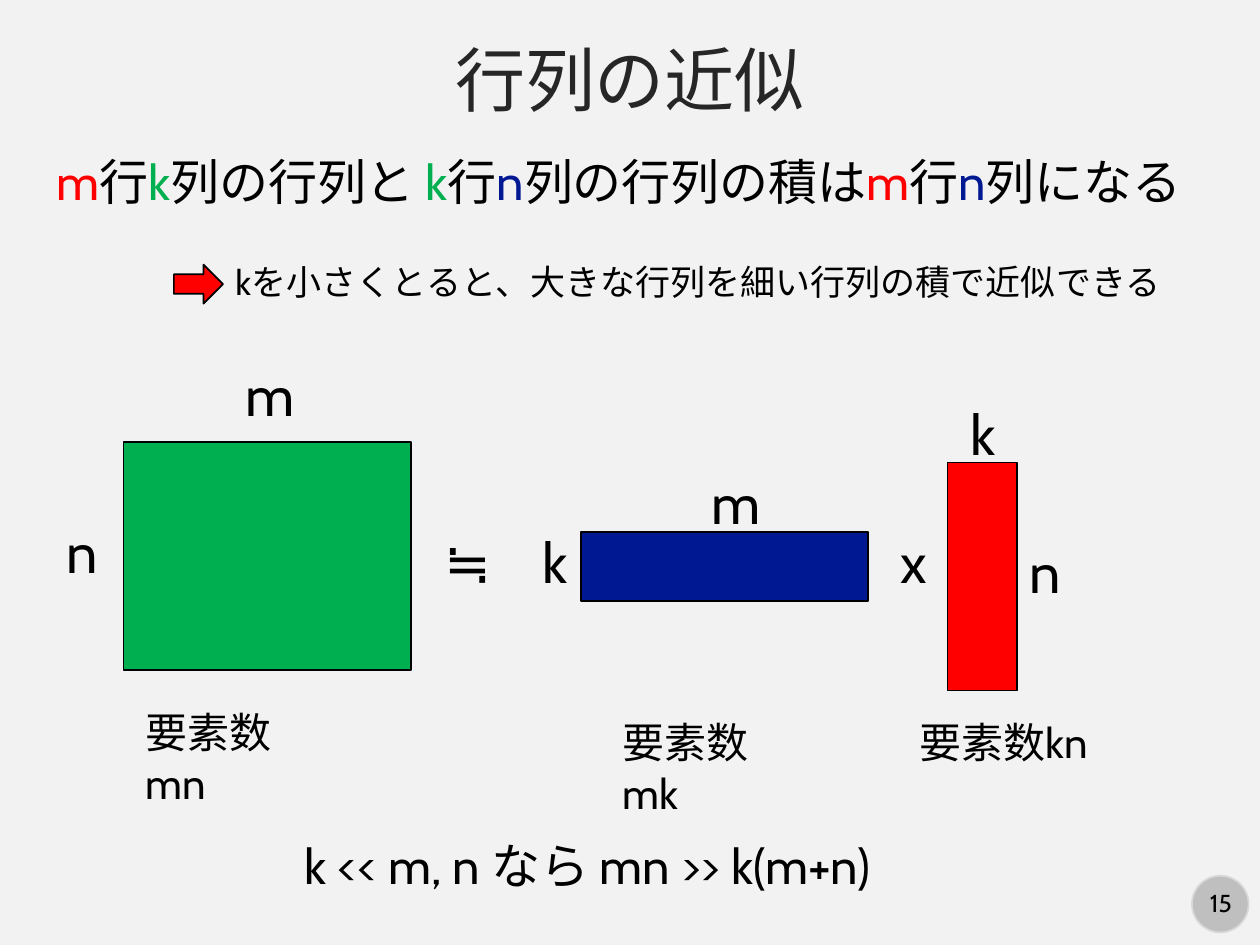
from pptx import Presentation
from pptx.dml.color import RGBColor
from pptx.enum.shapes import MSO_SHAPE
from pptx.enum.text import MSO_ANCHOR, PP_ALIGN
from pptx.util import Inches, Pt

RECTANGLE, OVAL, ARROW = MSO_SHAPE.RECTANGLE, MSO_SHAPE.OVAL, MSO_SHAPE.RIGHT_ARROW
CENTER, LEFT = PP_ALIGN.CENTER, PP_ALIGN.LEFT
TOP, MIDDLE = MSO_ANCHOR.TOP, MSO_ANCHOR.MIDDLE
COLORS = {
    "background": "F2F2F2", "black": "000000", "title": "262626",
    "red": "FF0000", "green": "00B050", "navy": "011893",
    "badge": "BFBFBF", "badge_line": "D9D9D9",
}
CELL = Inches(0.1)


class MatrixSlide:
    """Draws elements on one slide, measured in a grid of 100 columns by 75 rows."""

    font = "Cabin"

    def __init__(self, presentation):
        self.slide = presentation.slides.add_slide(presentation.slide_layouts[6])
        self.paint(self.slide.background.fill, "background")

    def paint(self, fill, color):
        fill.solid()
        fill.fore_color.rgb = RGBColor.from_string(COLORS[color])

    def place(self, box):
        return [round(length * CELL) for length in box]

    def shape(self, kind, box, color, line="black"):
        shape = self.slide.shapes.add_shape(kind, *self.place(box))
        shape.shadow.inherit = False
        self.paint(shape.fill, color)
        self.paint(shape.line.fill, line)
        shape.line.width = Pt(1)

    def text(self, box, runs, size, align=LEFT, anchor=TOP):
        frame = self.slide.shapes.add_textbox(*self.place(box)).text_frame
        for name, value in {"word_wrap": True, "vertical_anchor": anchor}.items():
            setattr(frame, name, value)
        paragraph = frame.paragraphs[0]
        paragraph.alignment = align
        for words, color in runs:
            run = paragraph.add_run()
            run.text = words
            for name, value in {"name": self.font, "size": Pt(size)}.items():
                setattr(run.font, name, value)
            run.font.color.rgb = RGBColor.from_string(COLORS[color])

    def symbol(self, words, left, top, width=4.3):
        self.text((left, top, width, 6.4), [(words, "black")], 32)

    def element_count(self, words, left, top, width):
        self.text((left, top, width, 5), [("要素数" + words, "black")], 24)


def main():
    presentation = Presentation()
    presentation.slide_width, presentation.slide_height = 100 * CELL, 75 * CELL
    page = MatrixSlide(presentation)

    page.shape(OVAL, (94.6, 69.5, 4.5, 4.5), "badge", "badge_line")
    page.text((94.7, 70, 4.4, 3.4), [("15", "black")], 14, CENTER)
    page.text((0, 2.1, 100, 8.2), [("行列の近似", "title")], 40, CENTER, MIDDLE)

    long_side, short_side, height = 22.8, 5.5, 18.1
    page.shape(RECTANGLE, (9.8, 35.1, long_side, height), "green")
    page.shape(RECTANGLE, (46.1, 42.2, long_side, short_side), "navy")
    page.shape(RECTANGLE, (75.2, 36.7, short_side, height), "red")

    dimension_colors = {"m": "red", "k": "green", "n": "navy"}
    pieces = ["m", "行", "k", "列の行列と ", "k", "行", "n", "列の行列の積は",
              "m", "行", "n", "列になる"]
    rule = [(piece, dimension_colors.get(piece, "black")) for piece in pieces]
    page.text((3.5, 11.5, 91.5, 5.7), rule, 28)
    page.text((17.7, 20.2, 76.3, 4.4),
              [("kを小さくとると、大きな行列を細い行列の積で近似できる", "black")], 20)
    page.shape(ARROW, (13.8, 21, 3.9, 3.1), "red")

    for words, left, top, width in [
        ("≒", 34.3, 41.4, 5.4), ("x", 70.5, 41.4, 4.3),
        ("m", 18.5, 28.1, 5.5), ("n", 4.3, 40.6, 4.3),
        ("m", 55.5, 36.7, 5.5), ("k", 42.1, 41.4, 4.2),
        ("k", 76, 31.2, 4.2), ("n", 80.7, 42.2, 4.3),
    ]:
        page.symbol(words, left, top, width)

    for words, left, top, width in [
        ("mn", 10.6, 55.6, 16.4), ("mk", 48.4, 56.4, 16.3), ("kn", 72, 56.4, 15.4),
    ]:
        page.element_count(words, left, top, width)

    page.text((23.2, 65.8, 50.7, 5.7), [("k << m, n なら mn >> k(m+n)", "black")], 28)
    presentation.save("out.pptx")


if __name__ == "__main__":
    main()
